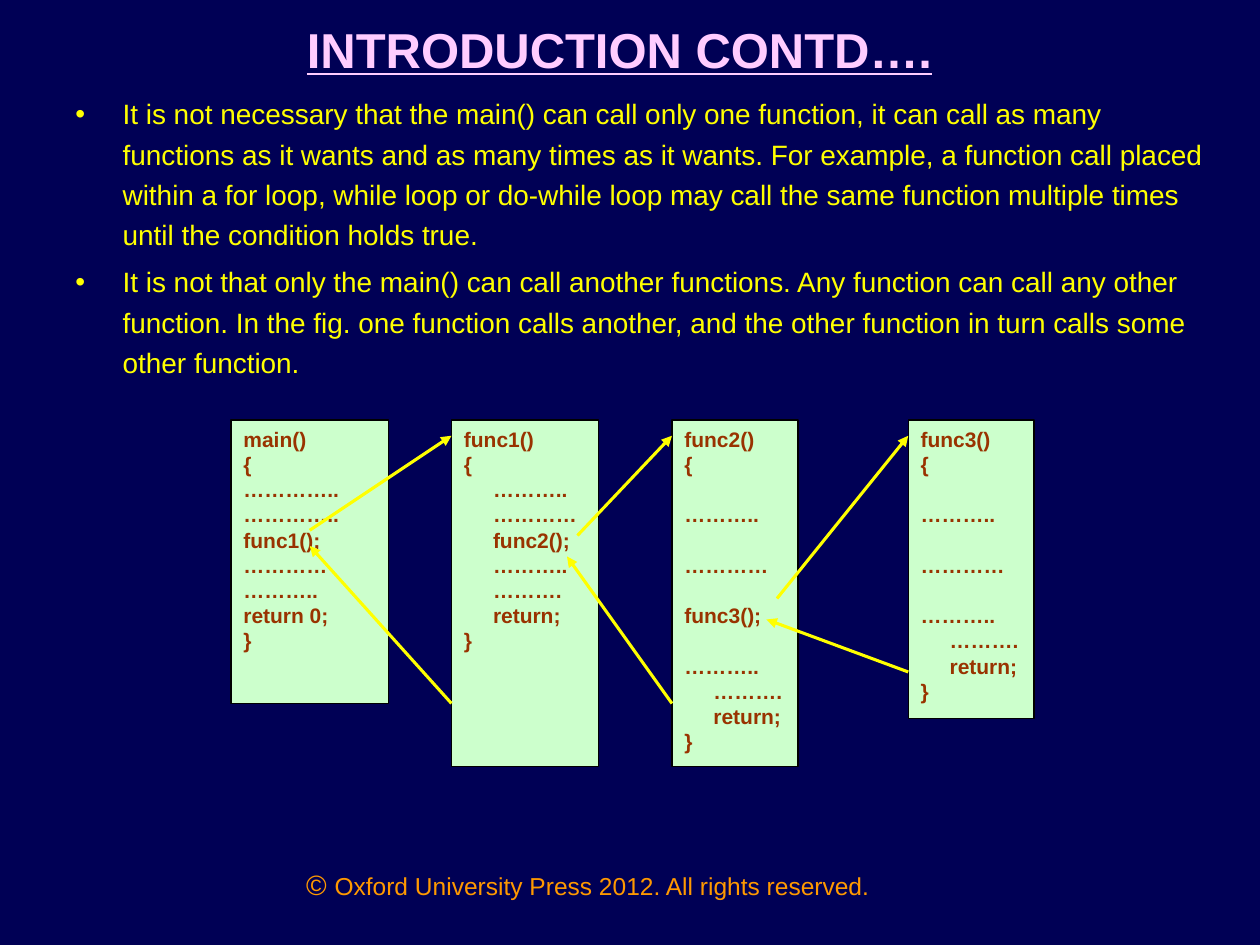
"""Build the slide that shows functions calling one another in a chain."""

from typing import NamedTuple

import lxml.etree
import pptx
import pptx.dml.color
import pptx.enum.shapes
import pptx.enum.text
import pptx.oxml.ns
import pptx.util

Pt = pptx.util.Pt
COLORS = {
    "background": "000055",
    "title": "FFCCFF",
    "body": "FFFF00",
    "footer": "FF9900",
    "box": "CCFFCC",
    "code": "993300",
    "border": "000000",
    "arrow": "FFFF00",
}
FONT = "Arial"
BOX_TOP = 240
INDENT = 27

BULLETS = [
    "It is not necessary that the main() can call only one function, it can call as many "
    "functions as it wants and as many times as it wants. For example, a function call placed "
    "within a for loop, while loop or do-while loop may call the same function multiple times "
    "until the condition holds true.",
    "It is not that only the main() can call another functions. Any function can call any other "
    "function. In the fig. one function calls another, and the other function in turn calls some "
    "other function.",
]


class FunctionBox(NamedTuple):
    left: float
    width: float
    height: float
    lines: list[str]


class Arrow(NamedTuple):
    start: tuple[float, float]
    end: tuple[float, float]


def function_lines(name: str, *calls: str) -> list[str]:
    """Return the listing of a function that makes the given calls."""
    body = ["………..", "…………", *calls, "………..", "……….", "return;"]
    return [f"{name}()", "{", *(f"     {line}" for line in body), "}"]


MAIN_LINES = ["main()", "{", "…………..", "…………..", "func1();", "…………", "………..", "return 0;", "}"]

BOXES = [
    FunctionBox(132, 90, 162, MAIN_LINES),
    FunctionBox(258, 84, 198, function_lines("func1", "func2();")),
    FunctionBox(384, 72, 198, function_lines("func2", "func3();")),
    FunctionBox(519, 72, 170.5, function_lines("func3")),
]

ARROWS = [
    Arrow((177, 303), (258, 249)),
    Arrow((258, 402), (177, 312)),
    Arrow((330, 306), (384, 249)),
    Arrow((384, 402), (324, 318)),
    Arrow((444, 342), (519, 249)),
    Arrow((519, 384), (438, 354)),
]


def color(name: str) -> pptx.dml.color.RGBColor:
    """Return the named colour."""
    return pptx.dml.color.RGBColor.from_string(COLORS[name])


def write(para, text: str, *, size: float, fill: str, bold: bool = False, underline: bool = False) -> None:
    """Append a formatted span of text to a paragraph."""
    span = para.add_run()
    span.text = text
    span.font.name = FONT
    span.font.size = Pt(size)
    span.font.bold = bold
    span.font.underline = underline
    span.font.color.rgb = color(fill)


def paragraph_at(frame, index: int):
    """Return the first paragraph of a frame, or a new one after it."""
    return frame.add_paragraph() if index else frame.paragraphs[0]


def add_bullet(para) -> None:
    """Give a paragraph a coloured bullet and a hanging indent."""
    properties = para._p.get_or_add_pPr()
    properties.set("marL", str(Pt(INDENT)))
    properties.set("indent", str(-Pt(INDENT)))
    tag = pptx.oxml.ns.qn
    bullet_color = lxml.etree.SubElement(properties, tag("a:buClr"))
    lxml.etree.SubElement(bullet_color, tag("a:srgbClr"), val=COLORS["body"])
    lxml.etree.SubElement(properties, tag("a:buFont"), typeface=FONT)
    lxml.etree.SubElement(properties, tag("a:buChar"), char="•")


def add_text_frame(slide, left: float, top: float, width: float, height: float):
    """Add a wrapping text box and return its frame."""
    box = slide.shapes.add_textbox(Pt(left), Pt(top), Pt(width), Pt(height))
    box.text_frame.word_wrap = True
    return box.text_frame


def add_title(slide) -> None:
    """Place and fill the title."""
    title = slide.shapes.title
    title.left, title.top, title.width, title.height = Pt(30), Pt(0), Pt(648), Pt(56)
    frame = title.text_frame
    frame.auto_size = pptx.enum.text.MSO_AUTO_SIZE.NONE
    frame.vertical_anchor = pptx.enum.text.MSO_ANCHOR.MIDDLE
    para = frame.paragraphs[0]
    para.alignment = pptx.enum.text.PP_ALIGN.CENTER
    write(para, "INTRODUCTION CONTD….", size=28, fill="title", bold=True, underline=True)


def add_body(slide) -> None:
    """Add the bulleted text."""
    frame = add_text_frame(slide, 36, 48, 660, 435)
    for index, text in enumerate(BULLETS):
        para = paragraph_at(frame, index)
        add_bullet(para)
        para.line_spacing = 1.2
        para.space_before = Pt(4 if index else 0)
        write(para, text, size=16, fill="body")


def add_footer(slide) -> None:
    """Add the copyright line."""
    para = add_text_frame(slide, 144, 492, 384, 37.5).paragraphs[0]
    para.alignment = pptx.enum.text.PP_ALIGN.CENTER
    write(para, "© ", size=16, fill="footer")
    write(para, "Oxford University Press 2012. All rights reserved.", size=14, fill="footer")


def add_function_box(slide, function: FunctionBox) -> None:
    """Draw one function listing."""
    box = slide.shapes.add_shape(
        pptx.enum.shapes.MSO_SHAPE.RECTANGLE,
        Pt(function.left), Pt(BOX_TOP), Pt(function.width), Pt(function.height),
    )
    box.shadow.inherit = False
    box.fill.solid()
    box.fill.fore_color.rgb = color("box")
    box.line.color.rgb = color("border")
    box.line.width = Pt(0.75)
    frame = box.text_frame
    frame.word_wrap = True
    frame.vertical_anchor = pptx.enum.text.MSO_ANCHOR.TOP
    for index, line in enumerate(function.lines):
        para = paragraph_at(frame, index)
        para.alignment = pptx.enum.text.PP_ALIGN.LEFT
        write(para, line, size=12, fill="code", bold=True)


def add_arrow(slide, arrow: Arrow) -> None:
    """Draw one call or return arrow."""
    connector = slide.shapes.add_connector(
        pptx.enum.shapes.MSO_CONNECTOR.STRAIGHT, *map(Pt, arrow.start + arrow.end)
    )
    connector.line.color.rgb = color("arrow")
    connector.line.width = Pt(1.75)
    tag = pptx.oxml.ns.qn
    lxml.etree.SubElement(connector.line._get_or_add_ln(), tag("a:tailEnd"), type="triangle")
    lxml.etree.SubElement(connector._element.spPr, tag("a:effectLst"))


def main() -> None:
    """Build and save the deck."""
    deck = pptx.Presentation()
    deck.slide_width, deck.slide_height = Pt(720), Pt(540)
    slide = deck.slides.add_slide(deck.slide_layouts.get_by_name("Title Only"))
    slide.background.fill.solid()
    slide.background.fill.fore_color.rgb = color("background")
    add_footer(slide)
    add_body(slide)
    add_title(slide)
    for function in BOXES:
        add_function_box(slide, function)
    for arrow in ARROWS:
        add_arrow(slide, arrow)
    deck.save("out.pptx")


if __name__ == "__main__":
    main()
